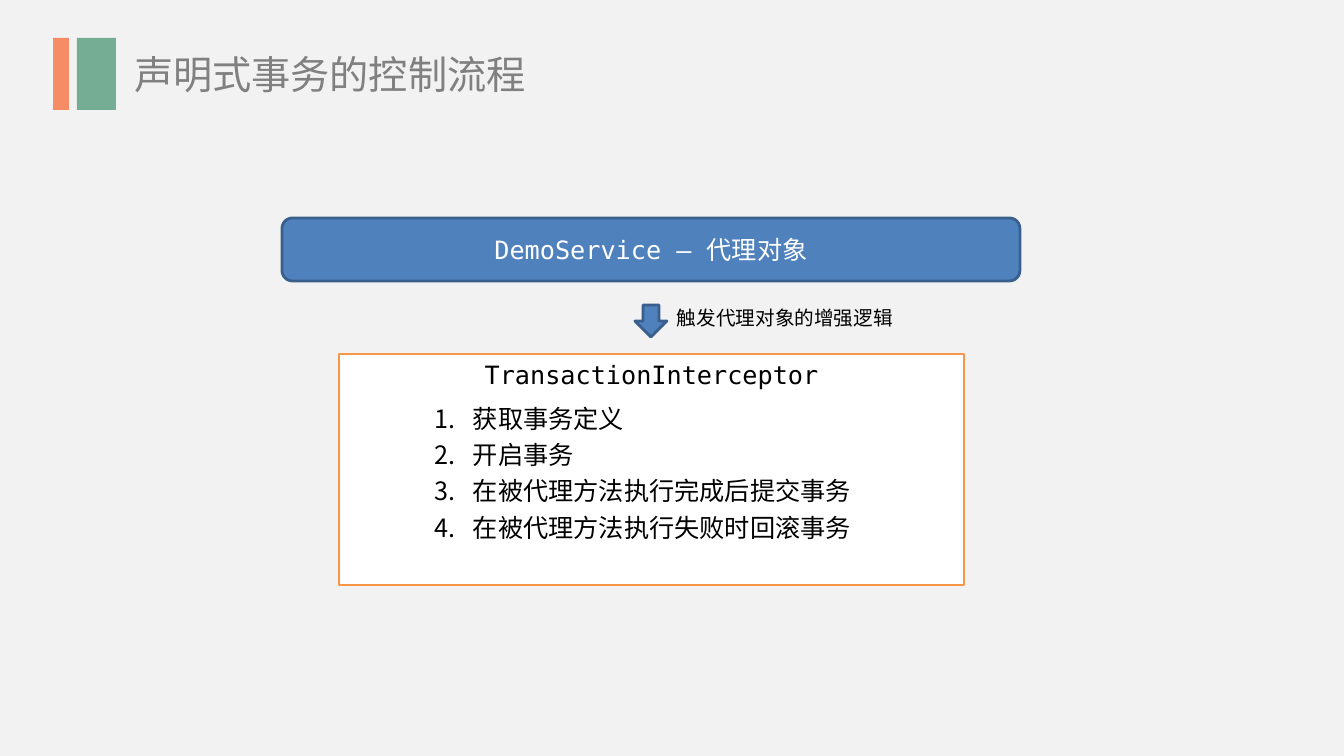
from lxml import etree
from pptx import Presentation
from pptx import util as u
from pptx.dml.color import RGBColor
from pptx.enum import shapes, text
from pptx.oxml.ns import qn

MONO, CJK = "DejaVu Sans Mono", "Noto Sans CJK SC"
SHAPE, ALIGN, ANCHOR = shapes.MSO_SHAPE, text.PP_ALIGN, text.MSO_ANCHOR
BLUE, BLUE_EDGE, ORANGE = "4F81BD", "3A5F8C", "F79646"

# Content: boxes are left, top, width, height in px
TITLE = ("声明式事务的控制流程", (124, 45, 416, 57))
ACCENTS = [((53, 38, 16, 72), "F58C65"), ((77, 38, 39, 72), "74AD93")]
PROXY = ("DemoService – 代理对象", (282, 218, 738, 63))
INTERCEPTOR = ("TransactionInterceptor", (339, 354, 625, 231))
ARROW = (635, 305, 32, 32)
TRIGGER = ("触发代理对象的增强逻辑", (667, 301, 246, 34))
STEPS = ([
    "获取事务定义",
    "开启事务",
    "在被代理方法执行完成后提交事务",
    "在被代理方法执行失败时回滚事务",
], (425, 392, 445, 154))
STEP_INDENT = 38


def px(n):
    return round(n * 914400 / 100.8)


def color(value):
    return RGBColor.from_string(value)


def write(sp, lines, size, ink="000000", font=MONO, align=ALIGN.LEFT,
          anchor=ANCHOR.TOP, wrap=True):
    tf = sp.text_frame
    tf.word_wrap = wrap
    tf.vertical_anchor = anchor
    tf.text = "\n".join(lines)
    for p in tf.paragraphs:
        p.alignment = align
        p.font.size = u.Pt(size)
        p.font.name = font
        p.font.color.rgb = color(ink)
        defaults = p._p.pPr.find(qn("a:defRPr"))
        etree.SubElement(defaults, qn("a:ea"), typeface=CJK)
    return tf


def add_box(s, kind, box, fill, edge=None):
    sp = s.shapes.add_shape(kind, *map(px, box))
    sp.shadow.inherit = False
    sp.fill.solid()
    sp.fill.fore_color.rgb = color(fill)
    if edge:
        sp.line.color.rgb = color(edge)
        sp.line.width = u.Pt(2)
    else:
        sp.line.fill.background()
    return sp


def number(p):
    pPr = p._p.pPr
    pPr.set("marL", str(px(STEP_INDENT)))
    pPr.set("indent", str(-px(STEP_INDENT)))
    defaults = pPr.find(qn("a:defRPr"))
    for tag, attrs in (("a:buFont", {"typeface": CJK}),
                       ("a:buAutoNum", {"type": "arabicPeriod"})):
        defaults.addprevious(pPr.makeelement(qn(tag), attrs))


def main():
    prs = Presentation()
    prs.slide_width, prs.slide_height = px(1344), px(756)
    s = prs.slides.add_slide(prs.slide_layouts[5])
    s.background.fill.solid()
    s.background.fill.fore_color.rgb = color("F2F2F2")

    # Title and accent bars
    title, box = TITLE
    sp = s.shapes.title
    sp.left, sp.top, sp.width, sp.height = map(px, box)
    write(sp, [title], 28, "808080", CJK, wrap=False)
    for box, fill in ACCENTS:
        add_box(s, SHAPE.RECTANGLE, box, fill)

    # Proxy object and interceptor
    label, box = PROXY
    sp = add_box(s, SHAPE.ROUNDED_RECTANGLE, box, BLUE, BLUE_EDGE)
    write(sp, [label], 18, "FFFFFF", align=ALIGN.CENTER, anchor=ANCHOR.MIDDLE)
    label, box = INTERCEPTOR
    sp = add_box(s, SHAPE.RECTANGLE, box, "FFFFFF", ORANGE)
    write(sp, [label], 18, align=ALIGN.CENTER)

    # Numbered steps
    steps, box = STEPS
    tf = write(s.shapes.add_textbox(*map(px, box)), steps, 18)
    for p in tf.paragraphs:
        p.line_spacing = 1.2
        number(p)

    # Trigger arrow and its label
    add_box(s, SHAPE.DOWN_ARROW, ARROW, BLUE, BLUE_EDGE)
    label, box = TRIGGER
    write(s.shapes.add_textbox(*map(px, box)), [label], 14)

    prs.save("out.pptx")


if __name__ == "__main__":
    main()
